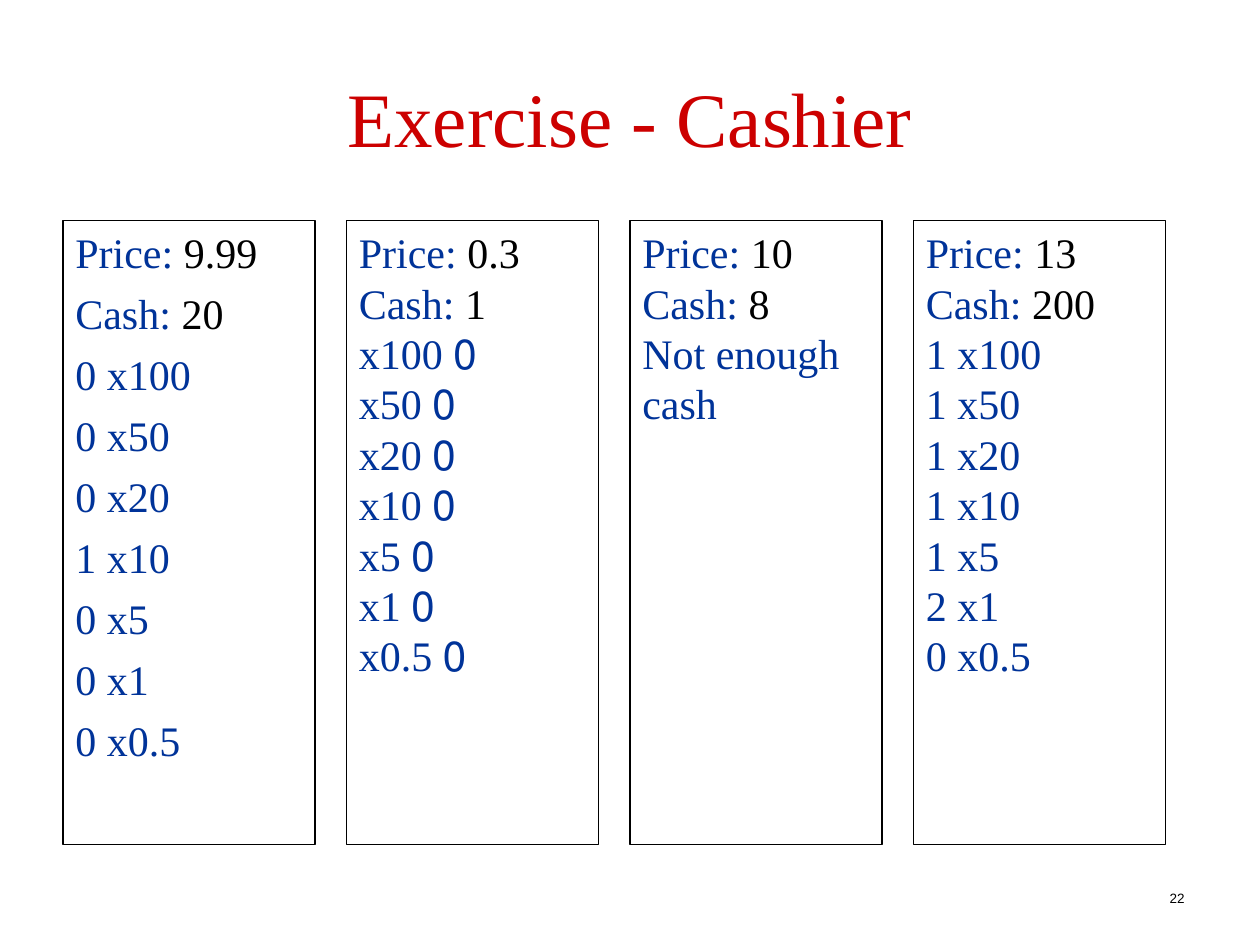
import pptx
import pptx.util
import pptx.dml.color
import pptx.enum.shapes
import pptx.enum.text

RGB = pptx.dml.color.RGBColor
RED = RGB(0xCC, 0x00, 0x00)
BLUE = RGB(0x00, 0x33, 0x99)
BLACK = RGB(0x00, 0x00, 0x00)
SERIF = "Times New Roman"
ALIGN = pptx.enum.text.PP_ALIGN
INCH = pptx.util.Inches
PT = pptx.util.Pt
LEFT, TOP, STEP, WIDE, HIGH = 0.5, 1.75, 2.25, 2, 4.95
UNITS = ["100", "50", "20", "10", "5", "1", "0.5"]


def style(run, size, font, tint):
    """Set the size, face and colour of a run."""
    run.font.size = PT(size)
    run.font.name = font
    run.font.color.rgb = tint


def label(slide, place, text, size, font, tint, align):
    """Add one line of text, centred in height."""
    box = slide.shapes.add_textbox(*map(INCH, place))
    frame = box.text_frame
    frame.word_wrap = True
    frame.vertical_anchor = pptx.enum.text.MSO_ANCHOR.MIDDLE
    frame.text = text
    para = frame.paragraphs[0]
    para.alignment = align
    style(para.runs[0], size, font, tint)
    return box


def line(para, name, value=""):
    """Write a blue entry with an optional black value."""
    para.alignment = ALIGN.LEFT
    para.text = name
    style(para.runs[0], 24, SERIF, BLUE)
    if value:
        run = para.add_run()
        run.text = value
        style(run, 24, SERIF, BLACK)


def panel(slide, col, price, cash, rest):
    """Add the framed run of the cashier in a column."""
    place = (LEFT + col * STEP, TOP, WIDE, HIGH)
    box = slide.shapes.add_shape(
        pptx.enum.shapes.MSO_SHAPE.RECTANGLE, *map(INCH, place))
    box.shadow.inherit = False
    box.fill.background()
    box.line.color.rgb = BLACK
    box.line.width = PT(0.75)
    frame = box.text_frame
    frame.word_wrap = True
    frame.vertical_anchor = pptx.enum.text.MSO_ANCHOR.TOP
    rows = [("Price: ", price), ("Cash: ", cash)] + [(text,) for text in rest]
    for row in rows[1:]:
        frame.add_paragraph()
    for para, row in zip(frame.paragraphs, rows):
        line(para, *row)
    return frame.paragraphs


def change(counts):
    """Pair each count with its note or coin."""
    return [f"{count} x{unit}" for count, unit in zip(counts, UNITS)]


def main():
    """Build the slide and save it."""
    deck = pptx.Presentation()
    deck.slide_width, deck.slide_height = INCH(10), INCH(7.5)
    slide = deck.slides.add_slide(deck.slide_layouts[6])
    label(slide, (0.5, 0.3, 9, 1.25), "Exercise - Cashier",
          44, SERIF, RED, ALIGN.CENTER)
    for para in panel(slide, 0, "9.99", "20", change([0, 0, 0, 1, 0, 0, 0])):
        para.space_before = PT(6)
        props = para._p.get_or_add_pPr()
        props.set("marL", str(INCH(0.38)))
        props.set("indent", str(INCH(-0.38)))
    for para in panel(slide, 1, "0.3", "1", change([0] * 7)):
        para._p.get_or_add_pPr().set("rtl", "1")
    panel(slide, 2, "10", "8", ["Not enough cash"])
    panel(slide, 3, "13", "200", change([1, 1, 1, 1, 1, 2, 0]))
    label(slide, (7.17, 7, 2.33, 0.25), "22", 7.7, "Arial", BLACK, ALIGN.RIGHT)
    deck.save("out.pptx")


if __name__ == "__main__":
    main()
